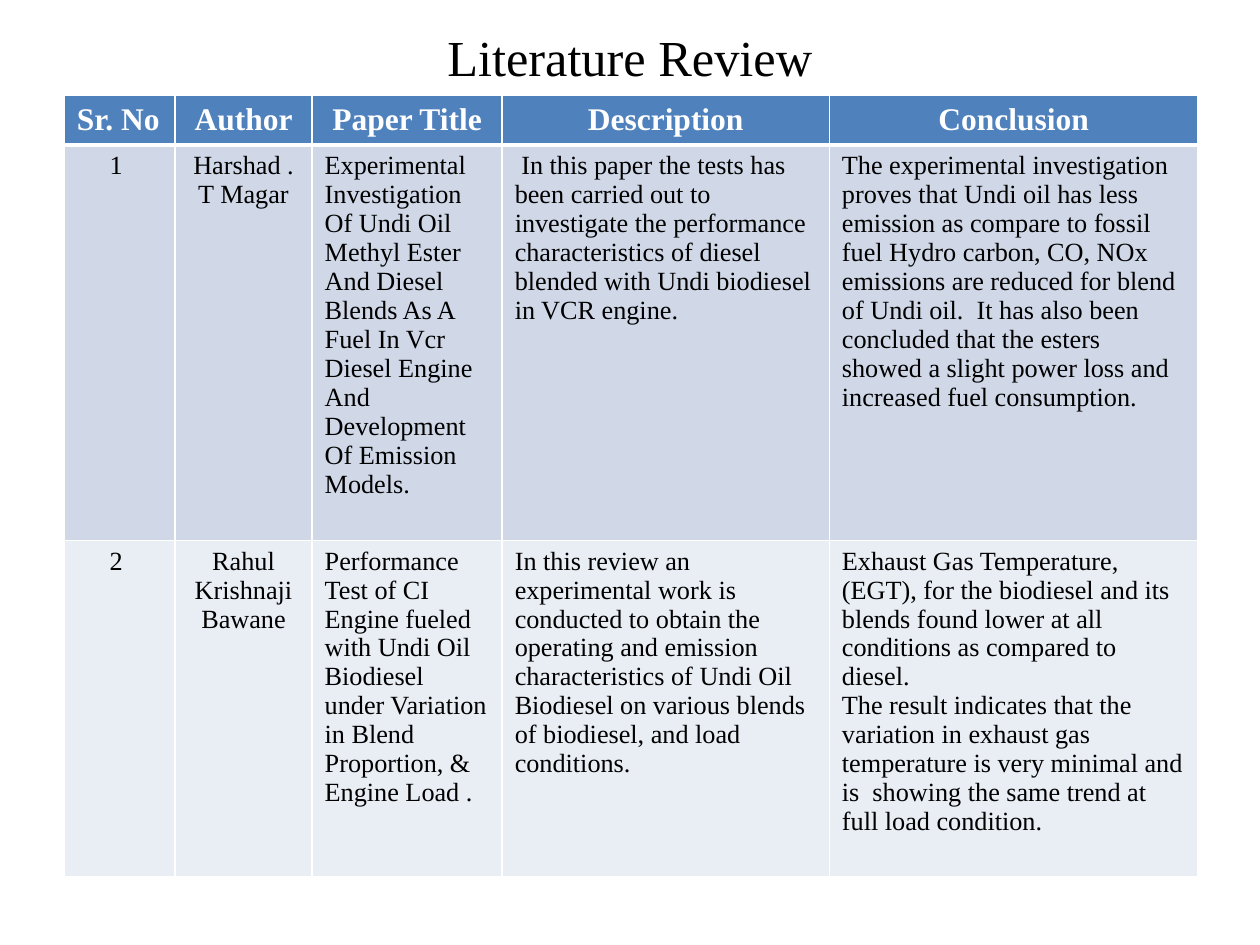
from dataclasses import dataclass

from lxml.etree import SubElement
from pptx import Presentation
from pptx.dml.color import RGBColor
from pptx.enum.text import MSO_ANCHOR, PP_ALIGN
from pptx.oxml.ns import qn
from pptx.util import Inches, Pt


@dataclass(frozen=True)
class Theme:
    """Colours, font and type sizes of the slide."""
    font: str = "Times New Roman"
    title_size: float = 28.8
    header_size: float = 18
    body_size: float = 15
    text: str = "000000"
    white: str = "FFFFFF"
    header_fill: str = "4F81BD"
    band_fills: tuple = ("D0D8E8", "E9EDF4")


THEME = Theme()
COLUMN_WIDTHS = (0.88, 1.09, 1.51, 2.6, 2.93)
ROW_HEIGHTS = (0.39, 3.14, 2.67)
NUMBER_MARGIN = 0.36
HEADER_ALIGNMENTS = (PP_ALIGN.JUSTIFY,) + (PP_ALIGN.CENTER,) * 4
BODY_ALIGNMENTS = (PP_ALIGN.LEFT, PP_ALIGN.CENTER) + (PP_ALIGN.LEFT,) * 3
ROWS = (
    ("Sr. No", "Author", "Paper Title", "Description", "Conclusion"),
    (
        "1",
        "Harshad .T Magar",
        "Experimental Investigation Of Undi Oil Methyl Ester And Diesel Blends "
        "As A Fuel In Vcr Diesel Engine And Development Of Emission Models.",
        " In this paper the tests has been carried out to\n"
        "investigate the performance characteristics of diesel blended with "
        "Undi biodiesel in VCR engine.",
        "The experimental investigation proves that Undi oil has less emission "
        "as compare to fossil fuel Hydro carbon, CO, NOx emissions are reduced "
        "for blend of Undi oil.  It has also been concluded that the esters "
        "showed a slight power loss and increased fuel consumption.",
    ),
    (
        "2",
        "Rahul Krishnaji Bawane",
        "Performance Test of CI Engine fueled with Undi Oil Biodiesel under "
        "Variation in Blend Proportion, & Engine Load .",
        "In this review an experimental work is conducted to obtain the "
        "operating and emission characteristics of Undi Oil Biodiesel on "
        "various blends of biodiesel, and load conditions.",
        "Exhaust Gas Temperature, (EGT), for the biodiesel and its blends found "
        "lower at all conditions as compared to diesel.\n"
        "The result indicates that the variation in exhaust gas temperature is "
        "very minimal and is  showing the same trend at full load condition.",
    ),
)


def format_paragraph(paragraph, size, color, alignment, bold=False):
    """Set the type and alignment of a paragraph."""
    paragraph.alignment = alignment
    font = paragraph.font
    font.name = THEME.font
    font.size = Pt(size)
    font.bold = bold
    font.color.rgb = RGBColor.from_string(color)


def add_borders(cell, top, bottom):
    """Give a cell white borders with the given top and bottom widths in points."""
    properties = cell._tc.get_or_add_tcPr()
    for side, width in (("L", 1), ("R", 1), ("T", top), ("B", bottom)):
        line = SubElement(properties, qn(f"a:ln{side}"), w=str(Pt(width)))
        fill = SubElement(line, qn("a:solidFill"))
        SubElement(fill, qn("a:srgbClr"), val=THEME.white)


def fill_cell(cell, text, row, column):
    """Write and format one cell according to its place in the table."""
    header = row == 0
    cell.text = text
    add_borders(cell, top=3 if row == 1 else 1, bottom=3 if header else 1)
    cell.fill.solid()
    fill = THEME.header_fill if header else THEME.band_fills[(row - 1) % 2]
    cell.fill.fore_color.rgb = RGBColor.from_string(fill)
    if column == 0 and not header:
        cell.margin_left = Inches(NUMBER_MARGIN)
    for paragraph in cell.text_frame.paragraphs:
        if header:
            format_paragraph(paragraph, THEME.header_size, THEME.white,
                             HEADER_ALIGNMENTS[column], bold=True)
        else:
            format_paragraph(paragraph, THEME.body_size, THEME.text,
                             BODY_ALIGNMENTS[column])


def place_title(slide, left, top, width, height):
    """Place and format the slide title."""
    title = slide.shapes.title
    title.left, title.top = left, top
    title.width, title.height = width, height
    frame = title.text_frame
    frame.text = "Literature Review"
    frame.vertical_anchor = MSO_ANCHOR.MIDDLE
    format_paragraph(frame.paragraphs[0], THEME.title_size, THEME.text,
                     PP_ALIGN.CENTER)


def add_review_table(slide, left, top, width, height):
    """Add the table of reviewed papers."""
    table = slide.shapes.add_table(len(ROWS), len(COLUMN_WIDTHS),
                                   left, top, width, height).table
    for column, share in zip(table.columns, COLUMN_WIDTHS):
        column.width = int(width * share / sum(COLUMN_WIDTHS))
    for row, share in zip(table.rows, ROW_HEIGHTS):
        row.height = int(height * share / sum(ROW_HEIGHTS))
    for row, texts in enumerate(ROWS):
        for column, text in enumerate(texts):
            fill_cell(table.cell(row, column), text, row, column)


def main():
    """Build and save the presentation."""
    presentation = Presentation()
    presentation.slide_width = Inches(10)
    presentation.slide_height = Inches(7.5)
    slide = presentation.slides.add_slide(presentation.slide_layouts[5])
    place_title(slide, Inches(0.5), Inches(0.21), Inches(9), Inches(0.47))
    add_review_table(slide, Inches(0.51), Inches(0.76), Inches(9), Inches(6.2))
    presentation.save("out.pptx")


if __name__ == "__main__":
    main()
